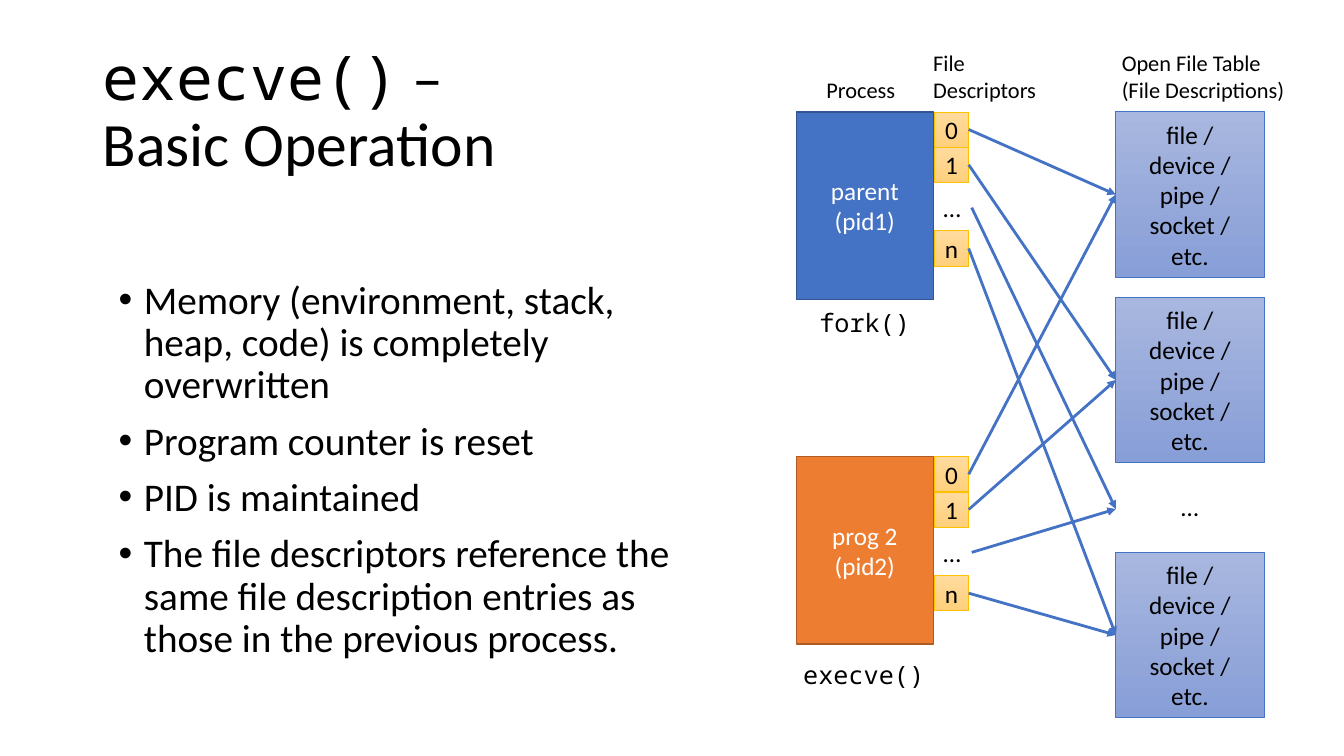
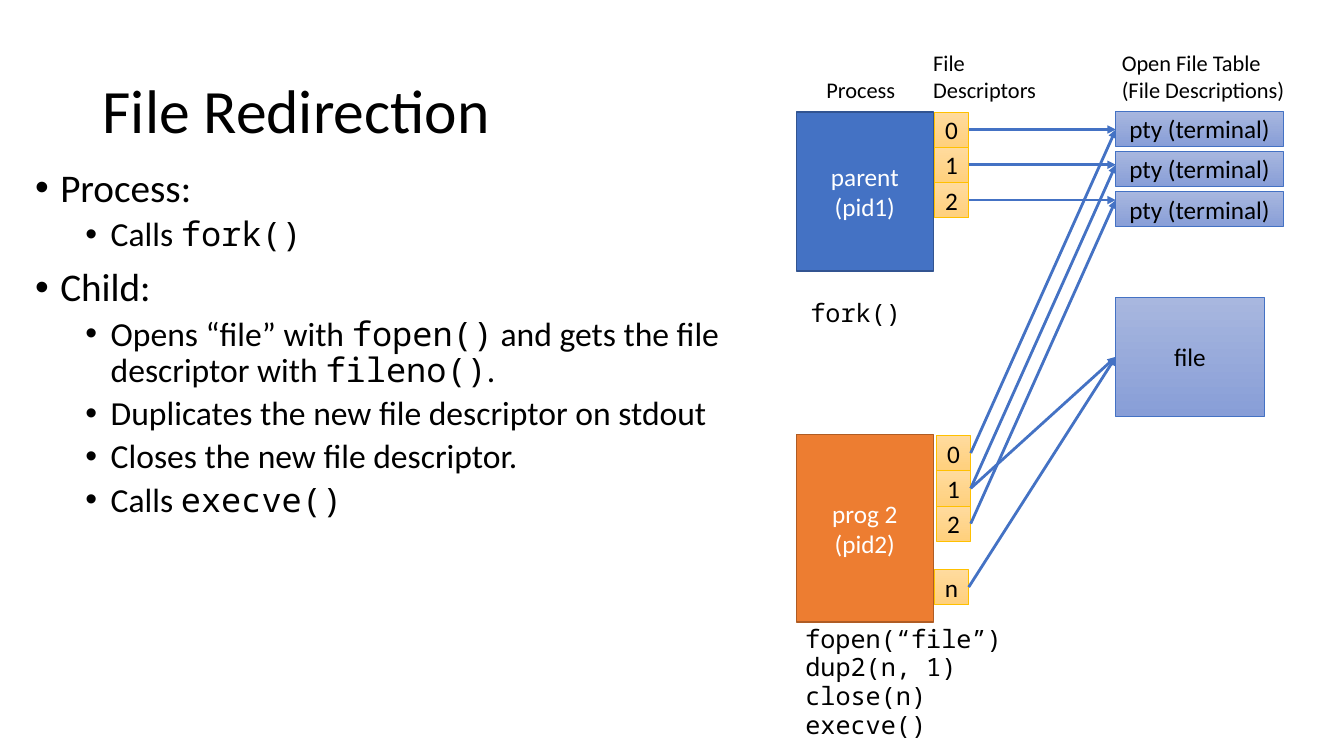
import pptx
import pptx.dml.color
import pptx.enum.dml
import pptx.enum.shapes
import pptx.enum.text
import pptx.oxml.ns
import pptx.util
from lxml import etree

COLORS = {
    "text": "000000", "light": "FFFFFF", "arrow": "4472C4",
    "parent": "4472C4", "parent_edge": "325491",
    "program": "ED7D31", "program_edge": "AF5C24",
    "slot_top": "FFDB9E", "slot_bottom": "FFD07C", "slot_edge": "FFC000",
    "entry_top": "A8B7DF", "entry_bottom": "889ED7", "entry_edge": "4472C4",
}
GRID = 0.1
PROCESS_COL, SLOT_COL, ENTRY_COL = 79, 92.7, 110.7
PROCESS_W, SLOT_W, SLOT_H = 13.6, 3.4, 3.5
RIGHT, LEFT = 3, 1
ALIGN = pptx.enum.text.PP_ALIGN
ANCHOR = pptx.enum.text.MSO_ANCHOR


def rgb(name):
    return pptx.dml.color.RGBColor.from_string(COLORS[name])


def cells(*counts):
    return [pptx.util.Inches(count * GRID) for count in counts]


class Deck:
    """Holds the style and the current slide, measured in grid cells of a tenth of an inch."""

    sans, mono = "Calibri", "Noto Sans Mono"

    def __init__(self):
        self.file = pptx.Presentation()
        self.file.slide_width, self.file.slide_height = cells(133.33, 75)
        self.slide = None

    def new_slide(self, title):
        self.slide = self.file.slides.add_slide(self.file.slide_layouts[6])
        heading = self.text(title, 9.2, 4, 115, 14.5, size=44, wrap=True)
        heading.text_frame.vertical_anchor = ANCHOR.MIDDLE
        heading.text_frame.paragraphs[0].line_spacing = 0.9
        for label, col, row, width, height in (
                ("Process", 81, 7.1, 8.9, 3.7),
                ("File\nDescriptors", 91.6, 4.4, 12.4, 6.4),
                ("Open File Table\n(File Descriptions)", 110.3, 4.4, 21.8, 6.4)):
            self.text(label, col, row, width, height, size=16)

    def add_runs(self, paragraph, content, size, color="text"):
        for line_number, line in enumerate(content.split("\v")):
            if line_number:
                paragraph.add_line_break()
            for position, part in enumerate(line.split("`")):
                if part:
                    run = paragraph.add_run()
                    run.text = part
                    run.font.name = self.mono if position % 2 else self.sans
                    run.font.size = pptx.util.Pt(size)
                    run.font.color.rgb = rgb(color)

    def fill_frame(self, frame, content, size=18, color="text", align=ALIGN.LEFT):
        for number, line in enumerate(content.split("\n")):
            paragraph = frame.add_paragraph() if number else frame.paragraphs[0]
            paragraph.alignment = align
            self.add_runs(paragraph, line, size, color)

    def text(self, content, col, row, width, height, size=18, wrap=False):
        box = self.slide.shapes.add_textbox(*cells(col, row, width, height))
        box.text_frame.word_wrap = wrap
        self.fill_frame(box.text_frame, content, size)
        return box

    def bullets(self, items, col, row, width, height):
        box = self.slide.shapes.add_textbox(*cells(col, row, width, height))
        frame = box.text_frame
        frame.word_wrap = True
        for number, (level, content) in enumerate(items):
            paragraph = frame.add_paragraph() if number else frame.paragraphs[0]
            paragraph.level = level
            properties = paragraph._p.get_or_add_pPr()
            margin, hanging = cells(2.5 + 5 * level, -2.5)
            properties.set("marL", str(margin))
            properties.set("indent", str(hanging))
            etree.SubElement(properties, pptx.oxml.ns.qn("a:buFont"), typeface="Arial")
            etree.SubElement(properties, pptx.oxml.ns.qn("a:buChar"), char="•")
            paragraph.line_spacing = 0.9
            if number:
                paragraph.space_before = pptx.util.Pt(5 if level else 10)
            self.add_runs(paragraph, content, 24 if level else 28)

    def box(self, content, col, row, width, height, edge, edge_width, color="text"):
        shape = self.slide.shapes.add_shape(
            pptx.enum.shapes.MSO_SHAPE.RECTANGLE, *cells(col, row, width, height))
        shape.shadow.inherit = False
        shape.line.color.rgb = rgb(edge)
        shape.line.width = pptx.util.Pt(edge_width)
        shape.text_frame.vertical_anchor = ANCHOR.MIDDLE
        self.fill_frame(shape.text_frame, content, color=color, align=ALIGN.CENTER)
        return shape

    def process(self, content, kind, row, height):
        shape = self.box(content, PROCESS_COL, row, PROCESS_W, height,
                         kind + "_edge", 1, "light")
        shape.fill.solid()
        shape.fill.fore_color.rgb = rgb(kind)

    def shaded_box(self, content, kind, col, row, width, height):
        shape = self.box(content, col, row, width, height, kind + "_edge", 0.5)
        shape.fill.gradient()
        shape.fill.gradient_angle = 270
        for stop, end in zip(shape.fill.gradient_stops, ("_top", "_bottom")):
            stop.color.rgb = rgb(kind + end)
        return shape

    def slots(self, labels, row, col=SLOT_COL):
        return [self.shaded_box(label, "slot", col, row + number * SLOT_H, SLOT_W, SLOT_H)
                for number, label in enumerate(labels)]

    def entry(self, content, row, width, height, col=ENTRY_COL):
        return self.shaded_box(content, "entry", col, row, width, height)

    def arrow(self, source, target):
        """Draws an arrow from a shape to another shape or to a (column, row) point."""
        to_point = isinstance(target, tuple)
        end = cells(*target) if to_point else (target.left, target.top)
        line = self.slide.shapes.add_connector(
            pptx.enum.shapes.MSO_CONNECTOR.STRAIGHT, source.left, source.top, *end)
        line.begin_connect(source, RIGHT)
        if not to_point:
            line.end_connect(target, LEFT)
        line.line.color.rgb = rgb("arrow")
        line.line.width = pptx.util.Pt(2)
        etree.SubElement(line.line._get_or_add_ln(), pptx.oxml.ns.qn("a:tailEnd"),
                         type="triangle")
        etree.SubElement(line._element.spPr, pptx.oxml.ns.qn("a:effectLst"))


def execve_slide(deck):
    deck.new_slide("`execve()` –\vBasic Operation")
    deck.bullets([
        (0, "Memory (environment, stack, heap, code) is completely overwritten"),
        (0, "Program counter is reset"),
        (0, "PID is maintained"),
        (0, "The file descriptors reference the same file description entries "
            "as those in the previous process."),
    ], 10.8, 27.3, 56.7, 41.9)
    entries = [deck.entry("file /\ndevice /\npipe /\nsocket /\netc.", row, 14.7, 16.4)
               for row in (11.1, 29.5, 54.8)]
    deck.text("…", 116.2, 48.3, 3.8, 4)
    targets = [entries[0], entries[1], (ENTRY_COL, 50.5), entries[2]]
    for content, kind, row in (("parent\n(pid1)", "parent", 11.1),
                               ("prog 2\n(pid2)", "program", 45.3)):
        deck.process(content, kind, row, 18.6)
        sources = deck.slots("01", row)
        sources.append(deck.text("…", 92.6, row + 7.5, 3.8, 4))
        sources += deck.slots("n", row + 11.8)
        for source, target in zip(sources, targets):
            deck.arrow(source, target)
    deck.text("`fork()`", 80.3, 30, 11.1, 4)
    deck.text("`execve()`", 78.7, 64.9, 14.1, 4)


def redirection_slide(deck):
    deck.new_slide("File Redirection")
    deck.bullets([
        (0, "Process:"),
        (1, "Calls `fork()`"),
        (0, "Child:"),
        (1, "Opens “file” with `fopen()` and gets the file descriptor with `fileno()`."),
        (1, "Duplicates the new file descriptor on stdout"),
        (1, "Closes the new file descriptor."),
        (1, "Calls `execve()`"),
    ], 2.5, 16.2, 76.7, 58)
    deck.process("parent\n(pid1)", "parent", 11.1, 15.8)
    deck.process("prog 2\n(pid2)", "program", 43.1, 18.6)
    parent_slots = deck.slots("012", 11.1)
    program_slots = deck.slots("012", 43.2, SLOT_COL + 0.2)
    new_slot = deck.slots("n", 56.5)[0]
    for number, pair in enumerate(zip(parent_slots, program_slots)):
        for slot in pair:
            deck.arrow(slot, (ENTRY_COL, 12.85 + number * SLOT_H))
    opened_file = deck.entry("file", 29.5, 14.7, 11.8)
    for slot in (program_slots[1], new_slot):
        deck.arrow(slot, opened_file)
    for number in range(3):
        deck.entry("pty (terminal)", 11 + 4 * number, 16.6, SLOT_H)
    deck.text("`fork()`", 79.4, 29, 11.1, 4)
    calls = (("fopen(“file”)", 21.6), ("dup2(n, 1)", 17.1),
             ("close(n)", 14.1), ("execve()", 14.1))
    for number, (call, width) in enumerate(calls):
        deck.text(f"`{call}`", 78.9, 61.3 + 2.87 * number, width, 4)


def main():
    deck = Deck()
    execve_slide(deck)
    redirection_slide(deck)
    deck.file.save("out.pptx")


if __name__ == "__main__":
    main()
